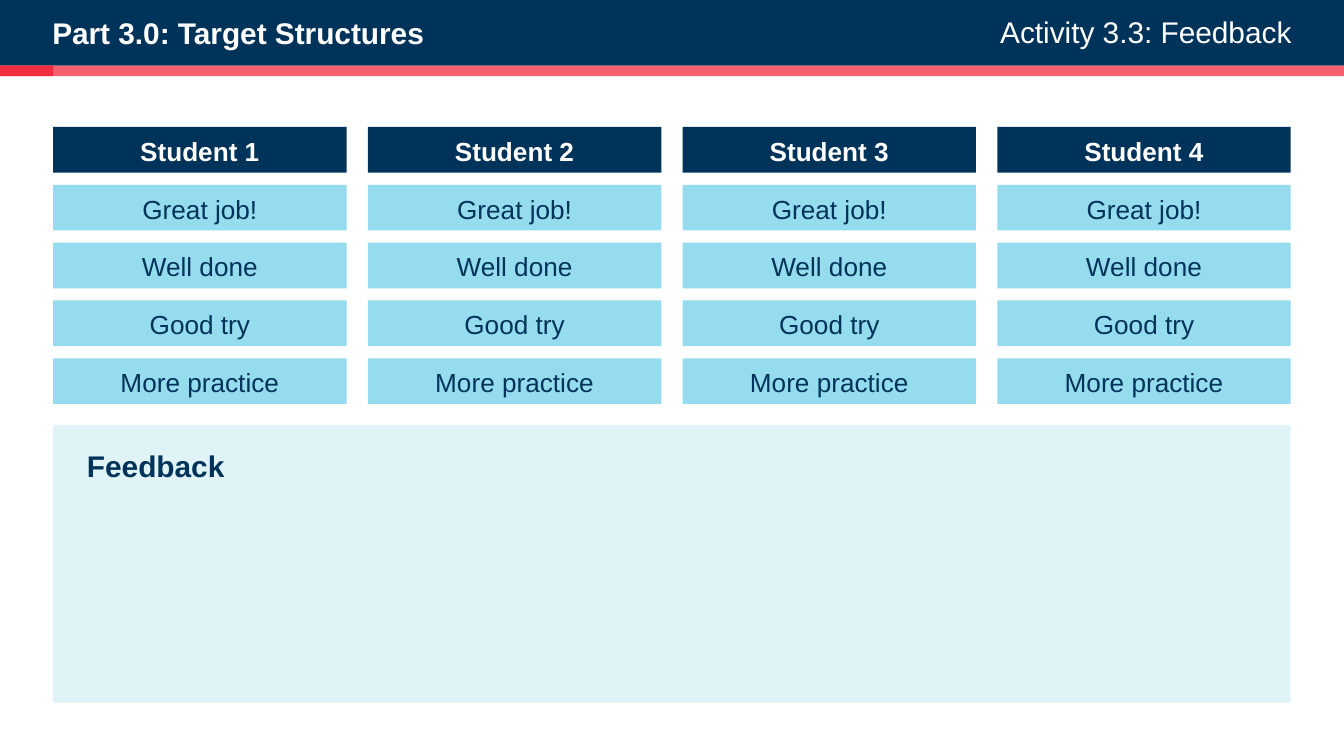
"""Build the student feedback slide with four rating columns and a notes panel."""
from lxml.etree import SubElement
from pptx import Presentation
from pptx.dml.color import RGBColor
from pptx.enum.shapes import MSO_SHAPE as SHAPE
from pptx.enum.text import MSO_ANCHOR as ANCHOR, MSO_AUTO_SIZE as AUTO, PP_ALIGN as ALIGN
from pptx.oxml.ns import qn
from pptx.util import Pt

TITLE = "Part 3.0: Target Structures"
ACTIVITY = "Activity 3.3: Feedback"
STUDENTS = ["Student 1", "Student 2", "Student 3", "Student 4"]
RATINGS = ["Great job!", "Well done", "Good try", "More practice"]
PANEL_HEADING = "Feedback"

THEME = {
    "font": "Arial", "heading": 16, "cell": 14,
    "navy": "003359", "sky": "95DCEE", "pale": "E0F4F8", "red": "F12C3E", "white": "FFFFFF",
}
WIDTH, HEIGHT = 720, 405
LEFT, RIGHT = 28.5, 691.5
BAR_H, STRIPE_H = 35.2, 5.6
GRID_TOP, ROW_PITCH, CELL_H, COL_GAP = 68, 31, 24.5, 11.4
PANEL_TOP, PANEL_H = 227.6, 148.8
CELL_W = (RIGHT - LEFT - COL_GAP * (len(STUDENTS) - 1)) / len(STUDENTS)


def add_rect(shapes, box, color, opacity=100):
    sp = shapes.add_shape(SHAPE.RECTANGLE, *map(Pt, box))
    sp.shadow.inherit = False
    sp.fill.solid()
    sp.fill.fore_color.rgb = RGBColor.from_string(THEME[color])
    sp.line.fill.background()
    if opacity < 100:
        rgb = sp.element.spPr.find(".//" + qn("a:srgbClr"))
        SubElement(rgb, qn("a:alpha")).set("val", str(opacity * 1000))
    return sp


def write(sp, text, color, size="heading", bold=False, align=ALIGN.LEFT, anchor=ANCHOR.TOP, top=0):
    tf = sp.text_frame
    frame = {"word_wrap": True, "auto_size": AUTO.NONE, "vertical_anchor": anchor,
             "margin_left": 0, "margin_right": 0, "margin_top": Pt(top), "margin_bottom": 0}
    for name, value in frame.items():
        setattr(tf, name, value)
    p = tf.paragraphs[0]
    p.alignment = align
    r = p.add_run()
    r.text = text
    for name, value in {"name": THEME["font"], "size": Pt(THEME[size]), "bold": bold}.items():
        setattr(r.font, name, value)
    r.font.color.rgb = RGBColor.from_string(THEME[color])


def add_column(s, left, student):
    group = s.shapes.add_group_shape()
    for row, text in enumerate([student, *RATINGS]):
        head = row == 0
        box = (left, GRID_TOP + row * ROW_PITCH, CELL_W, CELL_H)
        cell = add_rect(group.shapes, box, "navy" if head else "sky")
        write(cell, text, "white" if head else "navy", "cell", head,
              ALIGN.CENTER, ANCHOR.MIDDLE, top=1)


def main():
    prs = Presentation()
    prs.slide_width, prs.slide_height = Pt(WIDTH), Pt(HEIGHT)
    s = prs.slides.add_slide(prs.slide_layouts[5])

    title = s.shapes.title
    bar = add_rect(s.shapes, (0, 0, WIDTH, BAR_H), "navy")
    title.element.addprevious(bar.element)
    place = {"left": 28, "top": 8, "width": 407, "height": 19.4}
    for name, value in place.items():
        setattr(title, name, Pt(value))
    write(title, TITLE, "white", bold=True)
    activity = s.shapes.add_textbox(*map(Pt, (437, 7.2, RIGHT + 0.5 - 437, 20)))
    write(activity, ACTIVITY, "white", align=ALIGN.RIGHT)

    for col, student in enumerate(STUDENTS):
        add_column(s, LEFT + col * (CELL_W + COL_GAP), student)

    add_rect(s.shapes, (LEFT, PANEL_TOP, RIGHT - LEFT, PANEL_H), "pale")
    heading = s.shapes.add_textbox(*map(Pt, (46.6, 239.8, 173, 19.4)))
    write(heading, PANEL_HEADING, "navy", bold=True)

    add_rect(s.shapes, (0, BAR_H, WIDTH, STRIPE_H), "red", opacity=75)
    add_rect(s.shapes, (0, BAR_H, LEFT, STRIPE_H), "red")
    prs.save("out.pptx")


if __name__ == "__main__":
    main()
